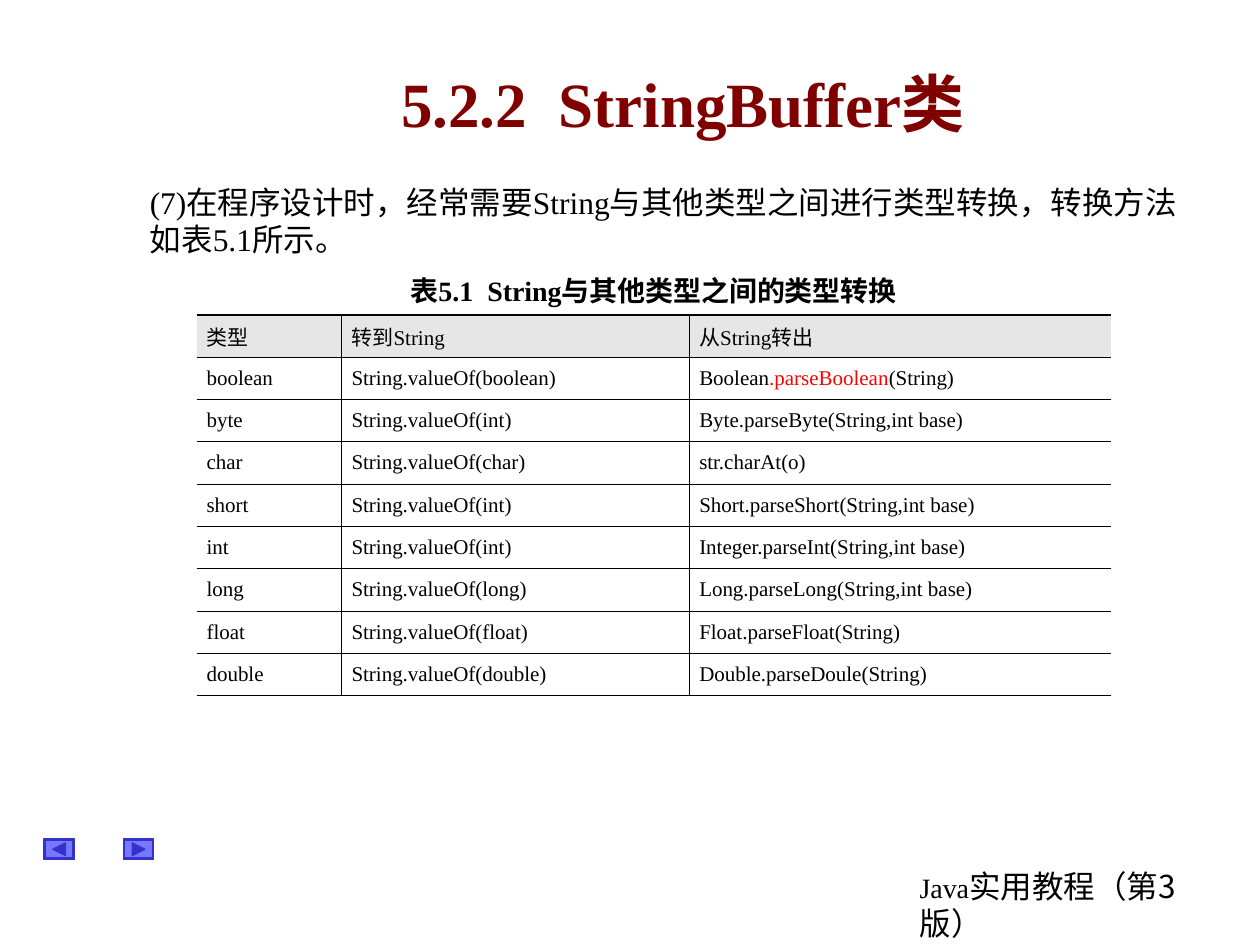
from dataclasses import dataclass

import pptx
import pptx.dml.color
import pptx.enum.shapes
import pptx.enum.text
import pptx.oxml
import pptx.oxml.ns
import pptx.util
from pptx.util import Inches

COLORS = {
    "text": "000000", "title": "800000", "accent": "FF0000",
    "header": "E6E6E6", "button": "0000FF", "button_edge": "3333CC",
}
SERIF = "Times New Roman"
SANS = "Noto Sans CJK SC"
ALIGN = pptx.enum.text.PP_ALIGN
ANCHOR = pptx.enum.text.MSO_ANCHOR
SHAPE = pptx.enum.shapes.MSO_SHAPE


@dataclass
class Run:
    text: str
    size: int
    color: str = "text"
    bold: bool = False
    font: str = SERIF


@dataclass
class TextBlock:
    box: tuple[float, float, float, float]
    runs: list[Run]
    line_points: int
    align: ALIGN = ALIGN.LEFT
    anchor: ANCHOR = ANCHOR.TOP
    wrap: bool = True


@dataclass
class NavButton:
    left: float
    arrow_left: float
    rotation: int


def rgb(name: str) -> pptx.dml.color.RGBColor:
    return pptx.dml.color.RGBColor.from_string(COLORS[name])


def add_runs(paragraph, runs: list[Run]) -> None:
    for part in runs:
        run = paragraph.add_run()
        run.text = part.text
        run.font.size = pptx.util.Pt(part.size)
        run.font.bold = part.bold
        run.font.name = part.font
        run.font.color.rgb = rgb(part.color)
        # Chinese characters are always sans serif
        east_asian = pptx.oxml.parse_xml(
            f'<a:ea {pptx.oxml.ns.nsdecls("a")} typeface="{SANS}"/>')
        run.font._element.find(pptx.oxml.ns.qn("a:latin")).addnext(east_asian)


def add_text(slide, block: TextBlock) -> None:
    frame = slide.shapes.add_textbox(*map(Inches, block.box)).text_frame
    frame.word_wrap = block.wrap
    if not block.wrap:
        frame.auto_size = pptx.enum.text.MSO_AUTO_SIZE.SHAPE_TO_FIT_TEXT
    frame.vertical_anchor = block.anchor
    paragraph = frame.paragraphs[0]
    paragraph.alignment = block.align
    paragraph.line_spacing = pptx.util.Pt(block.line_points)
    add_runs(paragraph, block.runs)


def add_button(slide, button: NavButton) -> None:
    frame = slide.shapes.add_shape(
        SHAPE.BEVEL, Inches(button.left), Inches(6.66), Inches(0.24), Inches(0.16))
    frame.adjustments[0] = 0.06
    arrow = slide.shapes.add_shape(
        SHAPE.ISOSCELES_TRIANGLE, Inches(button.arrow_left), Inches(6.69),
        Inches(0.1), Inches(0.1))
    arrow.rotation = button.rotation
    for shape, fill in ((frame, "button"), (arrow, "button_edge")):
        shape.shadow.inherit = False
        shape.fill.solid()
        shape.fill.fore_color.rgb = rgb(fill)
        shape.line.color.rgb = rgb("button_edge")
        shape.line.width = pptx.util.Pt(0.75)
    tint = frame.fill._xPr.find(".//" + pptx.oxml.ns.qn("a:srgbClr"))
    tint.append(pptx.oxml.parse_xml(
        f'<a:alpha {pptx.oxml.ns.nsdecls("a")} val="53000"/>'))


def set_borders(cell, widths: dict[str, float]) -> None:
    """Draw the L, R, T and B borders in points; zero hides a border."""
    properties = cell._tc.get_or_add_tcPr()
    for index, (side, points) in enumerate(widths.items()):
        paint = (f'<a:solidFill><a:srgbClr val="{COLORS["text"]}"/></a:solidFill>'
                 if points else "<a:noFill/>")
        properties.insert(index, pptx.oxml.parse_xml(
            f'<a:ln{side} {pptx.oxml.ns.nsdecls("a")} '
            f'w="{int(pptx.util.Pt(points))}">{paint}</a:ln{side}>'))


def add_conversion_table(slide, rows: list[tuple]) -> None:
    widths = (1.15, 2.76, 3.35)
    table = slide.shapes.add_table(
        len(rows), len(widths), Inches(1.56), Inches(2.5),
        Inches(sum(widths)), Inches(3.02)).table
    table.first_row = table.horz_banding = False
    for column, width in zip(table.columns, widths):
        column.width = Inches(width)
    last_row, last_column = len(rows) - 1, len(widths) - 1
    for i, row in enumerate(rows):
        for j, content in enumerate(row):
            cell = table.cell(i, j)
            cell.vertical_anchor = ANCHOR.MIDDLE
            cell.margin_left = cell.margin_right = Inches(0.08)
            cell.margin_top = cell.margin_bottom = Inches(0.05)
            if i == 0:
                cell.fill.solid()
                cell.fill.fore_color.rgb = rgb("header")
            else:
                cell.fill.background()
            set_borders(cell, {
                "L": 0.45 if j else 0,
                "R": 0.45 if j < last_column else 0,
                "T": 0.45 if i else 0.75,
                "B": 0.45 if i < last_row else 0.75,
            })
            paragraph = cell.text_frame.paragraphs[0]
            paragraph.alignment = ALIGN.JUSTIFY
            add_runs(paragraph, content if isinstance(content, list)
                     else [Run(content, 12)])


FOOTER = TextBlock(
    (7.2, 6.84, 2.6, 0.7),
    [Run("Java", 16), Run("实用教程（第3版）", 18, font=SANS)], 21)
TITLE = TextBlock(
    (1.17, 0.42, 8.5, 0.75),
    [Run("5.2.2  StringBuffer类", 36, "title", True)], 46,
    ALIGN.CENTER, ANCHOR.MIDDLE)
INTRO = TextBlock(
    (1.09, 1.41, 8.59, 1),
    [Run("(7)在程序设计时，经常需要String与其他类型之间进行类型转换，"
         "转换方法如表5.1所示。", 18)], 21)
CAPTION = TextBlock(
    (3.16, 2.11, 4.2, 0.37),
    [Run("表5.1  String与其他类型之间的类型转换", 16, bold=True)], 21,
    anchor=ANCHOR.MIDDLE, wrap=False)
NAV_BUTTONS = [NavButton(0.98, 1.05, 90), NavButton(0.35, 0.42, 270)]

# Type, argument of String.valueOf, conversion from String
CONVERSIONS = [
    ("boolean", "boolean", [Run("Boolean", 12), Run(".parseBoolean", 12, "accent"),
                            Run("(String)", 12)]),
    ("byte", "int", "Byte.parseByte(String,int base)"),
    ("char", "char", "str.charAt(o)"),
    ("short", "int", "Short.parseShort(String,int base)"),
    ("int", "int", "Integer.parseInt(String,int base)"),
    ("long", "long", "Long.parseLong(String,int base)"),
    ("float", "float", "Float.parseFloat(String)"),
    ("double", "double", "Double.parseDoule(String)"),
]


def main() -> None:
    deck = pptx.Presentation()
    deck.slide_width, deck.slide_height = Inches(10), Inches(7.5)
    slide = deck.slides.add_slide(deck.slide_layouts[6])

    # Footer and navigation
    add_text(slide, FOOTER)
    for button in NAV_BUTTONS:
        add_button(slide, button)

    # Heading and introduction
    add_text(slide, TITLE)
    add_text(slide, INTRO)

    # Conversion table with its caption
    header = ("类型", "转到String", "从String转出")
    body = [(kind, f"String.valueOf({argument})", back)
            for kind, argument, back in CONVERSIONS]
    add_conversion_table(slide, [header, *body])
    add_text(slide, CAPTION)

    deck.save("out.pptx")


if __name__ == "__main__":
    main()
